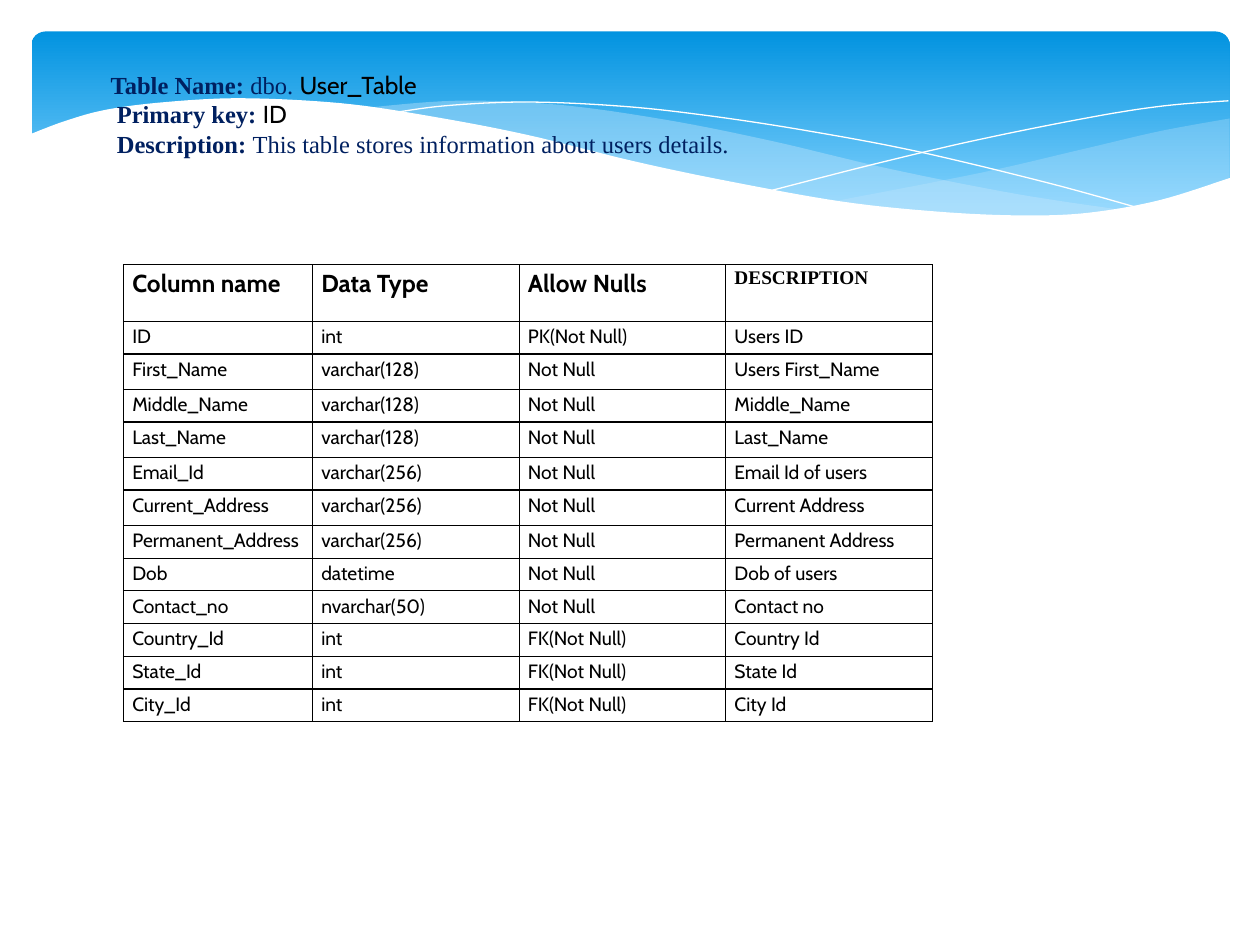
from dataclasses import dataclass

from pptx import Presentation
from pptx.dml.color import RGBColor
from pptx.enum.shapes import MSO_SHAPE
from pptx.enum.text import MSO_ANCHOR, MSO_AUTO_SIZE
from pptx.oxml.ns import qn
from pptx.oxml.xmlchemy import OxmlElement
from pptx.util import Inches, Pt

ROUND_RECT = MSO_SHAPE.ROUNDED_RECTANGLE
MIDDLE = MSO_ANCHOR.MIDDLE
GROW = MSO_AUTO_SIZE.SHAPE_TO_FIT_TEXT
COLS, ROWS = 100, 75


@dataclass(frozen=True)
class Theme:
    ink: str = "000000"
    navy: str = "002060"
    white: str = "FFFFFF"
    mist: str = "C6E7FC"
    sky: tuple = ((0, "0293E0"), (0.9, "83D3FE"))
    sans: str = "Cabin"
    serif: str = "Times New Roman"
    large: int = 14
    body: int = 11
    border: float = 0.75


THEME = Theme()


def add_run(p, text, *, font=THEME.sans, size=THEME.body, color=THEME.ink, bold=False):
    r = p.add_run()
    r.text = text
    r.font.name, r.font.size, r.font.bold = font, Pt(size), bold
    r.font.color.rgb = RGBColor.from_string(color)


def add_xml(parent, tag, **attrs):
    child = OxmlElement(tag)
    for name, value in attrs.items():
        child.set(name, str(value))
    parent.append(child)
    return child


def smooth(knots, steps=8):
    """Points of a Catmull-Rom curve through the knots."""
    ends = [knots[0], *knots, knots[-1]]
    points = [knots[0]]
    for a, b, c, d in zip(ends, ends[1:], ends[2:], ends[3:]):
        for i in range(1, steps + 1):
            t = i / steps
            points.append(tuple(
                q + t * (r - p + t * (2 * p - 5 * q + 4 * r - s + t * (3 * q - p - 3 * r + s))) / 2
                for p, q, r, s in zip(a, b, c, d)))
    return points


class SlideBuilder:
    """Draws on a grid of COLS by ROWS cells."""

    def __init__(self, prs, theme):
        self.theme = theme
        self.slide = prs.slides.add_slide(prs.slide_layouts[6])
        self.col, self.row = prs.slide_width / COLS, prs.slide_height / ROWS

    def place(self, x, y, w, h):
        return [round(n * u) for n, u in zip((x, y, w, h), (self.col, self.row) * 2)]

    def banner(self, x, y, w, h, radius):
        sp = self.slide.shapes.add_shape(ROUND_RECT, *self.place(x, y, w, h))
        sp.adjustments[0] = radius
        sp.shadow.inherit = False
        sp.line.fill.background()
        sp.fill.gradient()
        sp.fill.gradient_angle = 270
        for stop, (position, color) in zip(sp.fill.gradient_stops, self.theme.sky):
            stop.position = position
            stop.color.rgb = RGBColor.from_string(color)

    def freeform(self, points, close):
        scaled = [(x * self.col, y * self.row) for x, y in points]
        builder = self.slide.shapes.build_freeform(*scaled[0])
        builder.add_line_segments(scaled[1:], close=close)
        sp = builder.convert_to_shape()
        sp.shadow.inherit = False
        return sp

    def wave(self, *edges, color, opacity=100):
        """Filled outline whose edges are each smoothed on their own."""
        sp = self.freeform([pt for edge in edges for pt in smooth(edge)], True)
        sp.line.fill.background()
        sp.fill.solid()
        sp.fill.fore_color.rgb = RGBColor.from_string(color)
        if opacity < 100:
            rgb = sp._element.spPr.find(".//" + qn("a:srgbClr"))
            add_xml(rgb, "a:alpha", val=opacity * 1000)

    def strand(self, knots):
        sp = self.freeform(smooth(knots), False)
        sp.fill.background()
        sp.line.color.rgb = RGBColor.from_string(self.theme.white)
        sp.line.width = Pt(0)

    def heading(self, x, y, w, h, lines):
        tf = self.slide.shapes.add_textbox(*self.place(x, y, w, h)).text_frame
        tf.word_wrap, tf.auto_size, tf.vertical_anchor = True, GROW, MIDDLE
        for i, runs in enumerate(lines):
            p = tf.add_paragraph() if i else tf.paragraphs[0]
            p._p.get_or_add_pPr().set("indent", str(Inches(0.25)))
            for text, style in runs:
                add_run(p, text, size=self.theme.large, **style)

    def cell(self, cell, text, **style):
        cell.fill.background()
        cell.margin_left = cell.margin_right = Inches(0.07)
        cell.margin_top = cell.margin_bottom = 0
        p = cell.text_frame.paragraphs[0]
        p.line_spacing = 1.15
        add_run(p, text, **style)
        tc_pr = cell._tc.get_or_add_tcPr()
        for i, side in enumerate("LRTB"):
            ln = OxmlElement(f"a:ln{side}")
            ln.set("w", str(Pt(self.theme.border)))
            add_xml(add_xml(ln, "a:solidFill"), "a:srgbClr", val=self.theme.ink)
            tc_pr.insert(i, ln)

    def table(self, x, y, widths, heights, rows, header_styles):
        box = self.place(x, y, sum(widths), sum(heights))
        table = self.slide.shapes.add_table(len(rows), len(widths), *box).table
        table.first_row = table.horz_banding = False
        for column, width in zip(table.columns, widths):
            column.width = round(width * self.col)
        for i, (height, texts) in enumerate(zip(heights, rows)):
            table.rows[i].height = round(height * self.row)
            for j, text in enumerate(texts):
                self.cell(table.cell(i, j), text, **({} if i else header_styles[j]))


LABEL = dict(font=THEME.serif, color=THEME.navy, bold=True)
NOTE = dict(font=THEME.serif, color=THEME.navy)
HEADING = [
    [("Table Name: ", LABEL), ("dbo. ", NOTE), ("User_Table", {})],
    [(" Primary key: ", LABEL), ("ID", {})],
    [(" Description: ", LABEL), ("This table stores information about users details.", NOTE)],
]
COLUMN_HEAD = dict(size=THEME.large, bold=True)
HEADER_STYLES = [COLUMN_HEAD] * 3 + [dict(font=THEME.serif, bold=True)]
FIELDS = [
    ("Column name", "Data Type", "Allow Nulls", "DESCRIPTION"),
    ("ID", "int", "PK(Not Null)", "Users ID"),
    ("First_Name", "varchar(128)", "Not Null", "Users First_Name"),
    ("Middle_Name", "varchar(128)", "Not Null", "Middle_Name"),
    ("Last_Name", "varchar(128)", "Not Null", "Last_Name"),
    ("Email_Id", "varchar(256)", "Not Null", "Email Id of users"),
    ("Current_Address", "varchar(256)", "Not Null", "Current Address"),
    ("Permanent_Address", "varchar(256)", "Not Null", "Permanent Address"),
    ("Dob", "datetime", "Not Null", "Dob of users"),
    ("Contact_no", "nvarchar(50)", "Not Null", "Contact no"),
    ("Country_Id", "int", "FK(Not Null)", "Country Id"),
    ("State_Id", "int", "FK(Not Null)", "State Id"),
    ("City_Id", "int", "FK(Not Null)", "City Id"),
]
ROW_HEIGHTS = [4.5] + [2.8 if i in (2, 4, 6) else 2.6 for i in range(1, len(FIELDS))]


def main():
    prs = Presentation()
    prs.slide_width, prs.slide_height = Inches(10), Inches(7.5)
    s = SlideBuilder(prs, THEME)

    s.banner(2.5, 2.5, 95.1, 15.6, radius=0.071)
    s.wave([(97.6, 9.4), (92.1, 10.4), (86.1, 11.8), (77.9, 13.7), (66.1, 16)],
           [(66.1, 16), (73.2, 16.8), (81.4, 17.2), (88.9, 16.6), (94.2, 15.4), (97.6, 14.1)],
           color=THEME.mist, opacity=29)
    s.wave([(89.3, 16.7), (80.7, 15.4), (70.6, 13.4), (61.3, 11.2), (52.8, 9.5),
            (44.2, 8.3), (36.1, 8), (28.6, 8.6)],
           [(28.6, 8.6), (36.2, 9.7), (44.9, 11.6), (56.6, 14.3), (66.5, 16.1),
            (76.1, 17.1), (83.8, 17.2), (89.3, 16.7)],
           color=THEME.mist, opacity=40)
    s.strand([(30.9, 9), (35.3, 8.4), (41.6, 8.1), (48.9, 8.4), (55.6, 9.1),
              (63.6, 10.3), (72.7, 12), (83.1, 14.5), (90.7, 16.6)])
    s.strand([(61.3, 15.1), (69.5, 13), (77.6, 11.1), (86.6, 9.3), (92.4, 8.4), (97.5, 8)])
    s.wave([(97.7, 14.1), (92, 15.9), (86.3, 16.9), (80.9, 17.1), (74.4, 16.8),
            (66.8, 16), (57.9, 14.4), (50.3, 12.8), (41.8, 10.7), (34, 9.2),
            (27.1, 8.2), (19.3, 7.8), (13.2, 8.1), (8.5, 8.7), (5.2, 9.6), (2.3, 10.7)],
           [(2.3, 22.4), (97.7, 22.4)],
           color=THEME.white)
    s.heading(5.3, 5, 82.5, 8.1, HEADING)
    s.table(9.8, 21, [15] + [16.4] * 3, ROW_HEIGHTS, FIELDS, HEADER_STYLES)

    prs.save("out.pptx")


if __name__ == "__main__":
    main()
